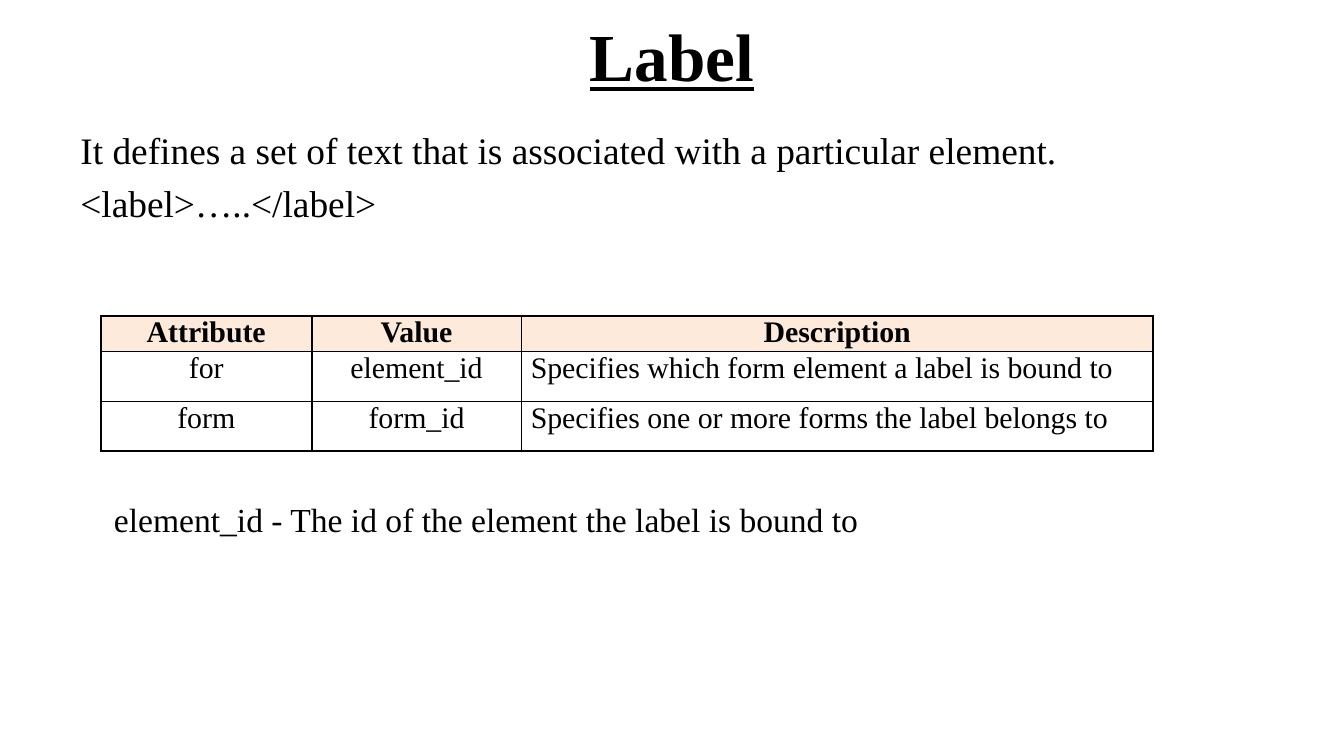
"""Build the slide that explains the HTML label element and its attributes."""
from lxml.etree import SubElement
from pptx import Presentation
from pptx.dml.color import RGBColor
from pptx.enum.text import MSO_ANCHOR as ANCHOR, PP_ALIGN as ALIGN
from pptx.oxml.ns import qn
from pptx.util import Inches, Pt


def rgb(value):
    return RGBColor.from_string(value)


def style(p, size, bold=False, align=ALIGN.LEFT):
    p.alignment = align
    for r in p.runs:
        r.font.name = "Times New Roman"
        r.font.size = Pt(size)
        r.font.bold = bold
        r.font.color.rgb = rgb("000000")


prs = Presentation()
prs.slide_width, prs.slide_height = Pt(720), Pt(405)
W = prs.slide_width
s = prs.slides.add_slide(prs.slide_layouts[5])
margin, indent = int(W * 0.05), int(W * 0.075)

title = s.shapes.title
title.left, title.top = margin, Inches(-0.02)
title.width, title.height = W - 2 * margin, Inches(0.85)
tf = title.text_frame
tf.text = "Label"
tf.vertical_anchor = ANCHOR.MIDDLE
style(tf.paragraphs[0], 36, True, ALIGN.CENTER)
tf.paragraphs[0].runs[0].font.underline = True

texts = [
    (margin, 0.9, W - 2 * margin, 1.33, 20,
     "It defines a set of text that is associated with a particular element.\n"
     "<label>…..</label>"),
    (indent, 3.66, int(W * 0.6), 0.4, 18,
     "element_id - The id of the element the label is bound to"),
]
for left, top, width, height, size, text in texts:
    tf = s.shapes.add_textbox(left, Inches(top), width, Inches(height)).text_frame
    tf.word_wrap = True
    tf.text = text
    for i, p in enumerate(tf.paragraphs):
        style(p, size)
        if i:
            p.space_before = Pt(4)

rows = [
    ("Attribute", "Value", "Description"),
    ("for", "element_id", "Specifies which form element a label is bound to"),
    ("form", "form_id", "Specifies one or more forms the label belongs to"),
]
col_widths, row_heights = (1.57, 1.56, 4.7), (0.18, 0.37, 0.37)
table = s.shapes.add_table(3, 3, indent, Inches(2.35), Inches(sum(col_widths)),
                           Inches(sum(row_heights))).table
for column, width in zip(table.columns, col_widths):
    column.width = Inches(width)
for i, (row, height) in enumerate(zip(table.rows, row_heights)):
    row.height = Inches(height)
    for j, cell in enumerate(row.cells):
        cell.margin_left = cell.margin_right = Inches(0.07)
        cell.margin_top = cell.margin_bottom = 0
        cell.text = rows[i][j]
        header = i == 0
        align = ALIGN.CENTER if header or j < 2 else ALIGN.LEFT
        style(cell.text_frame.paragraphs[0], 16, header, align)
        tcPr = cell._tc.get_or_add_tcPr()
        for side in ("lnL", "lnR", "lnT", "lnB"):
            ln = SubElement(tcPr, qn(f"a:{side}"), w=str(Pt(1)))
            SubElement(SubElement(ln, qn("a:solidFill")), qn("a:srgbClr"), val="000000")
        if header:
            cell.fill.solid()
            cell.fill.fore_color.rgb = rgb("FDEADA")
        else:
            cell.fill.background()

prs.save("out.pptx")
